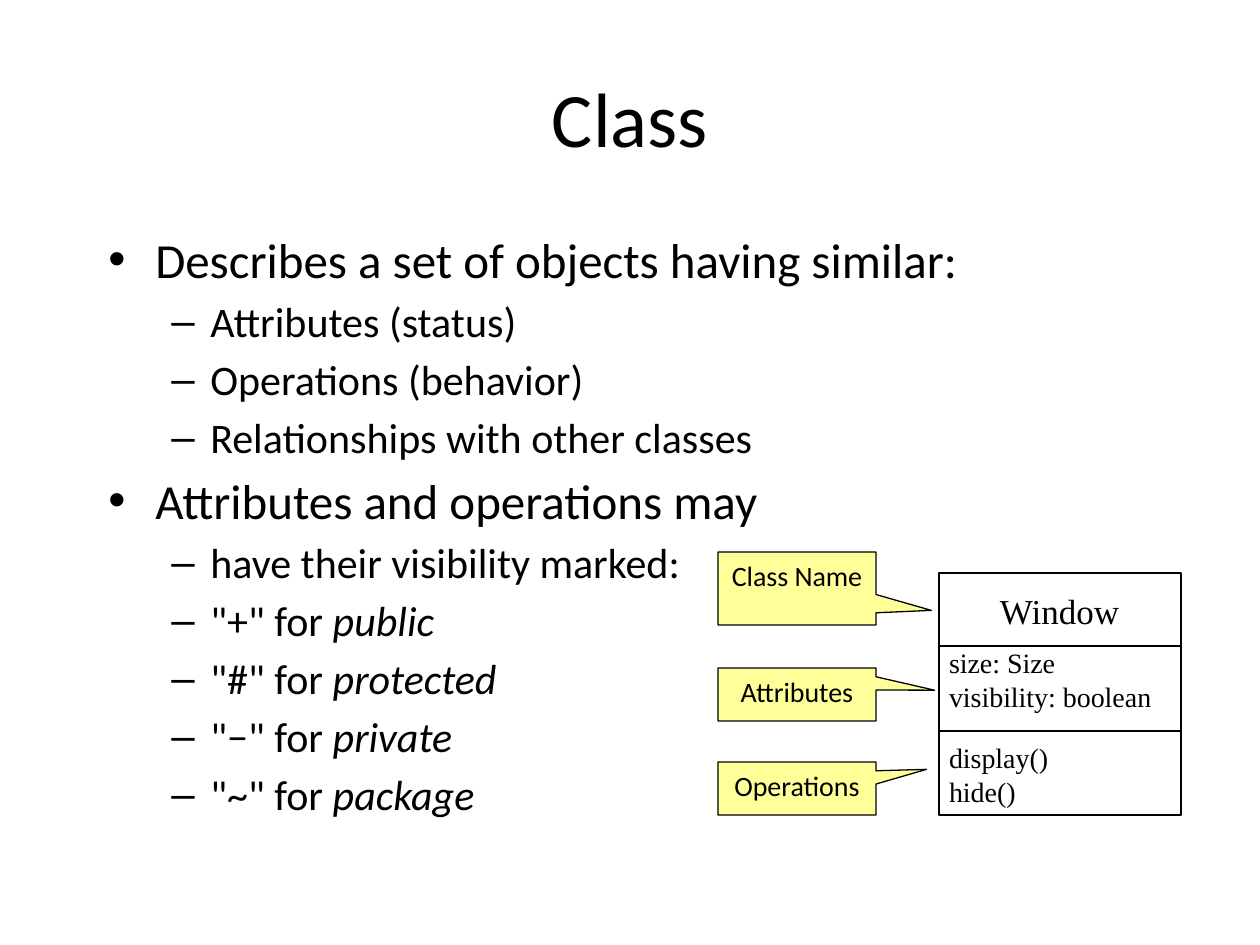
from dataclasses import dataclass

from lxml.etree import SubElement
from pptx import Presentation
from pptx.dml.color import RGBColor
from pptx.enum.shapes import MSO_CONNECTOR, MSO_SHAPE
from pptx.enum.text import MSO_ANCHOR, PP_ALIGN
from pptx.oxml.ns import qn
from pptx.util import Emu, Pt

EMU_PER_PX = 914400 / 126
COLORS = {"ink": "000000", "note": "FFFF99"}
SANS, SERIF = "Calibri", "Times New Roman"


@dataclass(frozen=True)
class Area:
    left: int
    top: int
    width: int
    height: int


@dataclass(frozen=True)
class Level:
    size: int
    bullet: str
    margin: int
    hanging: int
    space_before: float


@dataclass(frozen=True)
class Item:
    level: Level
    text: str
    emphasis: str = ""


@dataclass(frozen=True)
class Callout:
    text: str
    top: int
    height: int
    tip: tuple[float, float]


@dataclass(frozen=True)
class Label:
    lines: tuple[str, ...]
    area: Area


TOPIC = Level(28, "•", 47, 47, 5)
DETAIL = Level(24, "–", 102, 39, 4.3)
ITEMS = [
    Item(TOPIC, "Describes a set of objects having similar:"),
    Item(DETAIL, "Attributes (status)"),
    Item(DETAIL, "Operations (behavior)"),
    Item(DETAIL, "Relationships with other classes"),
    Item(TOPIC, "Attributes and operations may"),
    Item(DETAIL, "have their visibility marked:"),
    Item(DETAIL, '"+" for ', "public"),
    Item(DETAIL, '"#" for ', "protected"),
    Item(DETAIL, '"−" for ', "private"),
    Item(DETAIL, '"~" for ', "package"),
]
CLASS_BOX = Area(939, 573, 242, 242)
DIVIDERS = [646, 731]
MEMBERS = [
    Label(("size: Size", "visibility: boolean"), Area(949, 646, 221, 67)),
    Label(("display()", "hide()"), Area(949, 741, 221, 67)),
]
CALLOUTS = [
    Callout("Class Name", 552, 73, (0.85, 0.3)),
    Callout("Attributes", 668, 53, (0.87, -0.08)),
    Callout("Operations", 762, 53, (0.82, -0.36)),
]


def px(value: int) -> Emu:
    return Emu(round(value * EMU_PER_PX))


def bounds(area: Area) -> tuple[Emu, ...]:
    return px(area.left), px(area.top), px(area.width), px(area.height)


def color(name: str) -> RGBColor:
    return RGBColor.from_string(COLORS[name])


def add_span(para, text: str, size: int, font: str, italic: bool = False) -> None:
    span = para.add_run()
    span.text = text
    span.font.size = Pt(size)
    span.font.name = font
    span.font.italic = italic
    span.font.color.rgb = color("ink")


def add_text_box(page, area: Area, anchor=MSO_ANCHOR.TOP):
    frame = page.shapes.add_textbox(*bounds(area)).text_frame
    frame.word_wrap = True
    frame.vertical_anchor = anchor
    return frame


def add_heading(page, text: str, area: Area, size: int, font: str, anchor) -> None:
    para = add_text_box(page, area, anchor).paragraphs[0]
    para.alignment = PP_ALIGN.CENTER
    add_span(para, text, size, font)


def add_item(para, item: Item, first: bool) -> None:
    level = item.level
    properties = para._p.get_or_add_pPr()
    properties.set("marL", str(px(level.margin)))
    properties.set("indent", str(-px(level.hanging)))
    if not first:
        para.space_before = Pt(level.space_before)
    SubElement(properties, qn("a:buFont")).set("typeface", "Arial")
    SubElement(properties, qn("a:buChar")).set("char", level.bullet)
    add_span(para, item.text, level.size, SANS)
    if item.emphasis:
        add_span(para, item.emphasis, level.size, SANS, italic=True)


def add_outlined(page, kind, area: Area):
    box = page.shapes.add_shape(kind, *bounds(area))
    box.shadow.inherit = False
    box.line.color.rgb = color("ink")
    box.line.width = Pt(0.75)
    return box


def add_divider(page, top: int) -> None:
    left, right = px(CLASS_BOX.left), px(CLASS_BOX.left + CLASS_BOX.width)
    line = page.shapes.add_connector(MSO_CONNECTOR.STRAIGHT, left, px(top), right, px(top))
    line.line.color.rgb = color("ink")
    line.line.width = Pt(0.75)
    SubElement(line._element.spPr, qn("a:effectLst"))


def add_members(page, label: Label) -> None:
    frame = add_text_box(page, label.area, MSO_ANCHOR.MIDDLE)
    frame.margin_left = frame.margin_right = frame.margin_top = frame.margin_bottom = 0
    para = frame.paragraphs[0]
    for index, line in enumerate(label.lines):
        if index:
            para.add_line_break()
        add_span(para, line, 16, SERIF)


def add_callout(page, callout: Callout) -> None:
    area = Area(718, callout.top, 158, callout.height)
    box = add_outlined(page, MSO_SHAPE.RECTANGULAR_CALLOUT, area)
    box.adjustments[0], box.adjustments[1] = callout.tip
    box.fill.solid()
    box.fill.fore_color.rgb = color("note")
    frame = box.text_frame
    frame.word_wrap = True
    frame.vertical_anchor = MSO_ANCHOR.TOP
    para = frame.paragraphs[0]
    para.alignment = PP_ALIGN.CENTER
    add_span(para, callout.text, 16, SANS)


def main() -> None:
    deck = Presentation()
    deck.slide_width, deck.slide_height = px(1260), px(945)
    page = deck.slides.add_slide(deck.slide_layouts[6])

    # Title and bullet list
    add_heading(page, "Class", Area(63, 38, 1134, 158), 44, SANS, MSO_ANCHOR.MIDDLE)
    frame = add_text_box(page, Area(96, 223, 1071, 575))
    for index, item in enumerate(ITEMS):
        para = frame.add_paragraph() if index else frame.paragraphs[0]
        add_item(para, item, first=index == 0)

    # Class diagram
    add_outlined(page, MSO_SHAPE.RECTANGLE, CLASS_BOX).fill.background()
    for top in DIVIDERS:
        add_divider(page, top)
    add_heading(page, "Window", Area(949, 583, 221, 54), 20, SERIF, MSO_ANCHOR.TOP)
    for label in MEMBERS:
        add_members(page, label)

    # Callouts naming the parts of the class
    for callout in CALLOUTS:
        add_callout(page, callout)

    deck.save("out.pptx")


if __name__ == "__main__":
    main()
